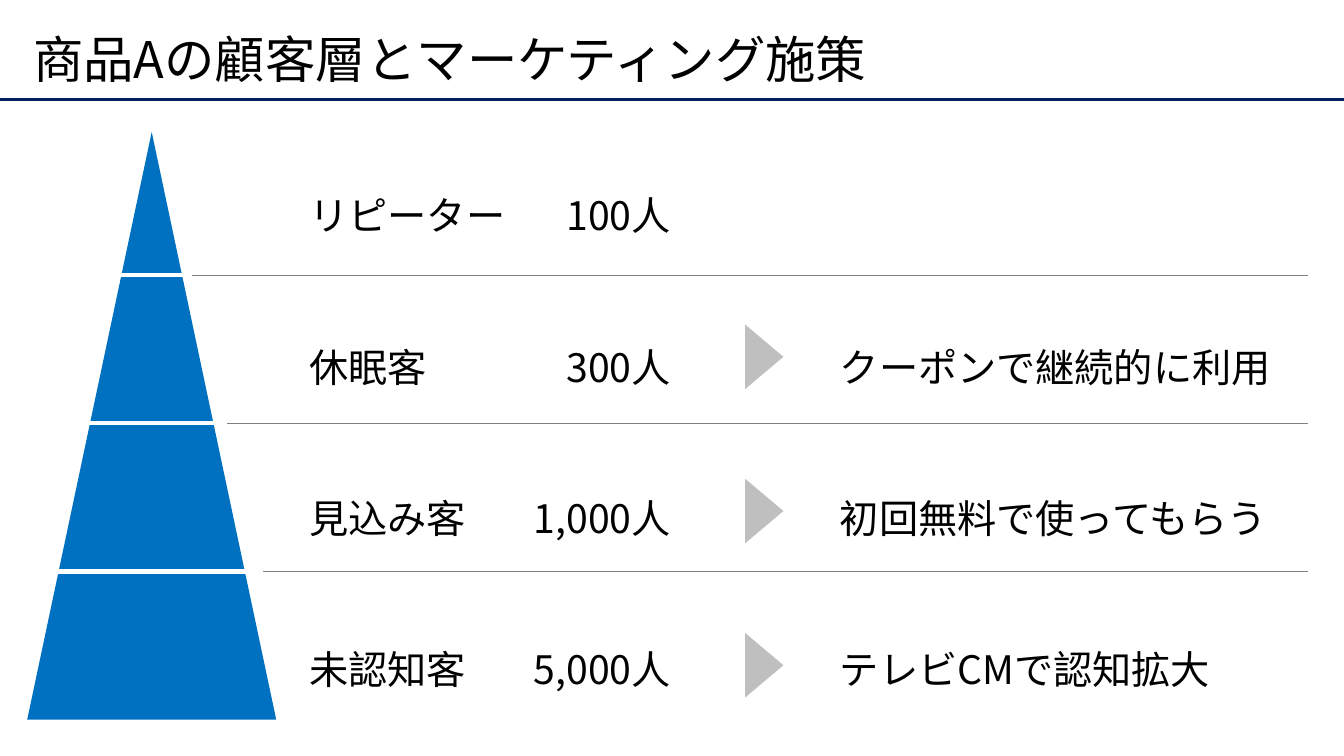
import pptx
import pptx.dml.color
import pptx.enum.shapes
import pptx.enum.text
import pptx.oxml.ns
import pptx.util
import lxml.etree

FONT = "Noto Sans CJK JP"
WIDTH, HEIGHT = 13.33, 7.5
ALIGN = pptx.enum.text.PP_ALIGN
ANCHOR = pptx.enum.text.MSO_ANCHOR
TRIANGLE = pptx.enum.shapes.MSO_SHAPE.ISOSCELES_TRIANGLE
inch = pptx.util.Inches

SEGMENTS = [
    ("リピーター", "100人", None),
    ("休眠客", "300人", "クーポンで継続的に利用"),
    ("見込み客", "1,000人", "初回無料で使ってもらう"),
    ("未認知客", "5,000人", "テレビCMで認知拡大"),
]


def color(value):
    """Turn a hex string into a colour."""
    return pptx.dml.color.RGBColor.from_string(value)


def add_line(slide, x1, x2, y, hex_color, weight):
    """Draw a horizontal line without a shadow."""
    line = slide.shapes.add_connector(
        pptx.enum.shapes.MSO_CONNECTOR.STRAIGHT, inch(x1), inch(y), inch(x2), inch(y))
    line.line.color.rgb = color(hex_color)
    line.line.width = pptx.util.Pt(weight)
    lxml.etree.SubElement(line._element.spPr, pptx.oxml.ns.qn("a:effectLst"))


def add_triangle(slide, x, y, w, h, hex_color, rotation=0):
    """Draw a plain filled triangle."""
    sp = slide.shapes.add_shape(TRIANGLE, inch(x), inch(y), inch(w), inch(h))
    sp.shadow.inherit = False
    sp.fill.solid()
    sp.fill.fore_color.rgb = color(hex_color)
    sp.line.fill.background()
    sp.rotation = rotation


def add_text(slide, box, text, size, spacing, align=ALIGN.LEFT, anchor=ANCHOR.TOP, indent=0):
    """Place one paragraph of text in a box."""
    tf = slide.shapes.add_textbox(*map(inch, box)).text_frame
    tf.word_wrap = True
    tf.vertical_anchor = anchor
    tf.margin_left = inch(0.1 + indent)
    p = tf.paragraphs[0]
    p.alignment = align
    p.line_spacing = spacing
    r = p.add_run()
    r.text = text
    r.font.name = FONT
    r.font.size = pptx.util.Pt(size)
    r.font.color.rgb = color("000000")
    ea = lxml.etree.SubElement(r.font._element, pptx.oxml.ns.qn("a:ea"))
    ea.set("typeface", FONT)


def add_header(slide, x, y, w, h, title):
    """Place the title and the rule that closes the header."""
    add_line(slide, x, x + w, y + h, "002060", 2.25)
    add_text(slide, (x + 0.23, y + 0.2, w - 0.73, 0.84), title, 36, 0.9, anchor=ANCHOR.MIDDLE)


def add_pyramid(slide, x, y, w, h, right, levels):
    """Draw the pyramid, its white cuts and the dividers running to the right."""
    add_triangle(slide, x, y, w, h, "0070C0")
    apex = x + w / 2
    for i in range(1, levels):
        cut = y + 1.42 + (i - 1) * 1.47
        half = w / 2 * (cut - y) / h
        add_line(slide, apex - half - 0.04, apex + half + 0.04, cut, "FFFFFF", 3)
        add_line(slide, x + 1.63 + (i - 1) * 0.355, right, cut, "808080", 0.5)


def add_segments(slide, x, y, pitch, segments):
    """Place one row per customer segment: name, head count, arrow and action."""
    for i, (name, count, action) in enumerate(segments):
        top = y + i * pitch
        add_text(slide, (x, top, 2.6, 0.74), name, 28, 1.5, indent=0.28)
        add_text(slide, (x + 2.09, top, 1.97, 0.74), count, 28, 1.5, ALIGN.RIGHT, indent=0.28)
        if action:
            add_triangle(slide, x + 4.57, y + 0.2 + i * (pitch + 0.03), 0.64, 0.38, "BFBFBF", 90)
            add_text(slide, (x + 5.26, top, 5.01, 0.74), action, 28, 1.5, indent=0.28)


def main():
    """Build the slide and save it."""
    prs = pptx.Presentation()
    prs.slide_width, prs.slide_height = inch(WIDTH), inch(HEIGHT)
    slide = prs.slides.add_slide(prs.slide_layouts[6])
    add_header(slide, 0, 0, WIDTH, 0.99, "商品Aの顧客層とマーケティング施策")
    add_pyramid(slide, 0.27, 1.31, 2.47, 5.83, 12.97, len(SEGMENTS))
    add_segments(slide, 2.69, 1.62, 1.5, SEGMENTS)
    prs.save("out.pptx")


if __name__ == "__main__":
    main()
